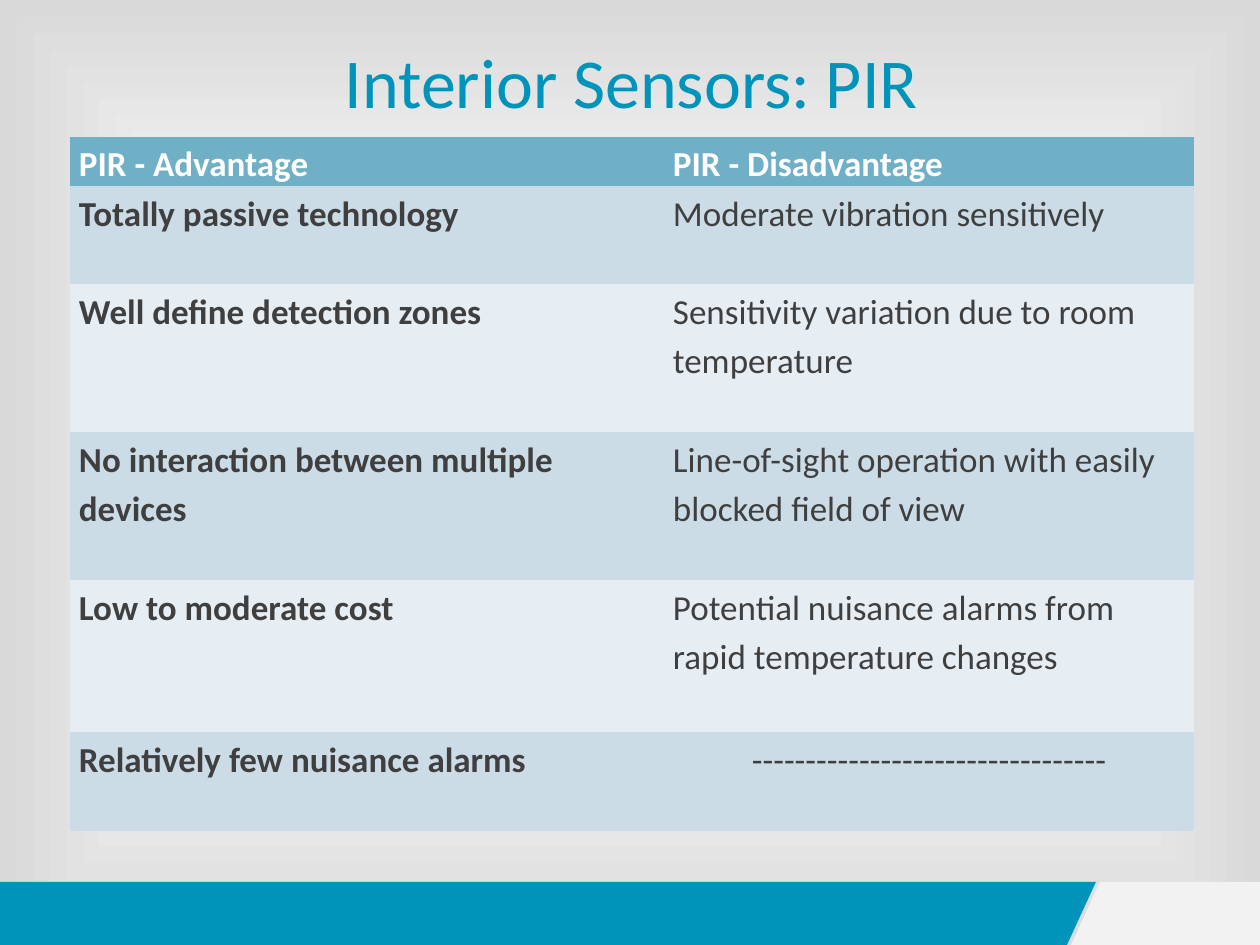
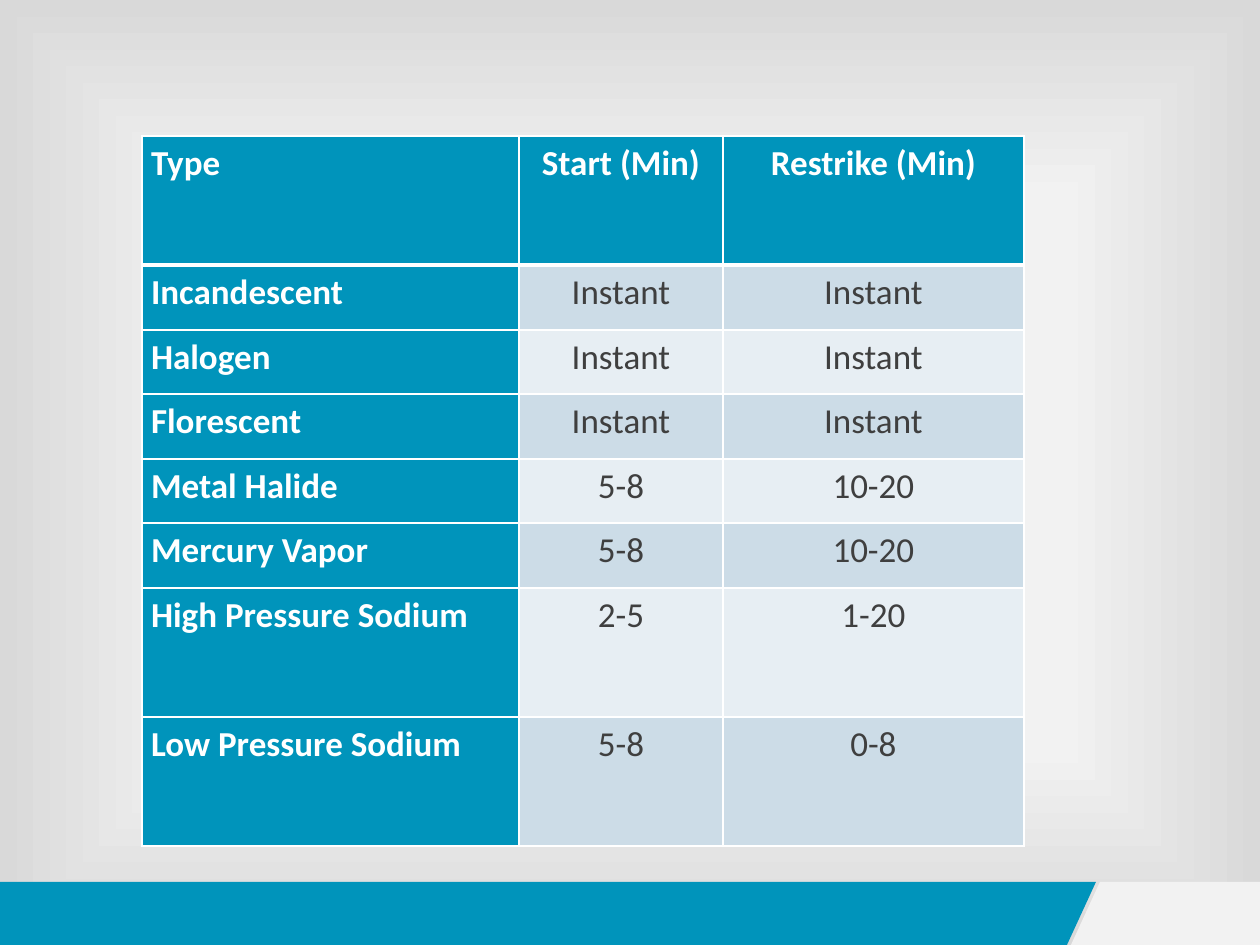
import lxml.etree
import pptx
import pptx.dml.color
import pptx.enum.text
import pptx.oxml
import pptx.oxml.ns
import pptx.util

PX = 914400 / 126
FONT = "Calibri"
TEAL = pptx.dml.color.RGBColor(0x00, 0x94, 0xBB)
SOFT_TEAL = pptx.dml.color.RGBColor(0x6F, 0xB0, 0xC7)
DARK_BAND = pptx.dml.color.RGBColor(0xCC, 0xDC, 0xE7)
LIGHT_BAND = pptx.dml.color.RGBColor(0xE7, 0xEE, 0xF3)
PALE = pptx.dml.color.RGBColor(0xF2, 0xF2, 0xF2)
WHITE = pptx.dml.color.RGBColor(0xFF, 0xFF, 0xFF)
INK = pptx.dml.color.RGBColor(0x3F, 0x3F, 0x3F)
CENTER = pptx.enum.text.PP_ALIGN.CENTER
LEFT = pptx.enum.text.PP_ALIGN.LEFT
PLAIN_TABLE = "{2D5ABB26-0587-4C30-8999-92F81FD0307C}"

BACKDROP_STOPS = [(0, WHITE), (58, PALE), (100, "D9D9D9")]
BACKDROP = (
    f'<a:gradFill {pptx.oxml.ns.nsdecls("a")} rotWithShape="1"><a:gsLst>'
    + "".join(
        f'<a:gs pos="{percent * 1000}"><a:srgbClr val="{colour}"/></a:gs>'
        for percent, colour in BACKDROP_STOPS
    )
    + '</a:gsLst><a:path path="rect">'
    '<a:fillToRect l="50000" t="50000" r="50000" b="50000"/></a:path></a:gradFill>'
)

FOOTER = [
    (TEAL, [(0, 882), (1096, 882), (1067, 945), (0, 945)]),
    (PALE, [(1100, 882), (1260, 882), (1260, 945), (1071, 945)]),
]

SENSOR_ROWS = [
    ("PIR - Advantage", "PIR - Disadvantage"),
    ("Totally passive technology", "Moderate vibration sensitively"),
    ("Well define detection zones", "Sensitivity variation due to room temperature"),
    ("No interaction between multiple devices",
     "Line-of-sight operation with easily blocked field of view"),
    ("Low to moderate cost", "Potential nuisance alarms from rapid temperature changes"),
    ("Relatively few nuisance alarms", "-" * 33),
]
LAMP_ROWS = [
    ("Type", "Start (Min)", "Restrike (Min)"),
    ("Incandescent", "Instant", "Instant"),
    ("Halogen", "Instant", "Instant"),
    ("Florescent", "Instant", "Instant"),
    ("Metal Halide", "5-8", "10-20"),
    ("Mercury Vapor", "5-8", "10-20"),
    ("High Pressure Sodium", "2-5", "1-20"),
    ("Low Pressure Sodium", "5-8", "0-8"),
]


def px(length):
    return round(length * PX)


def add_grid(slide, left, top, widths, heights, rows, head_fill, side_fill, centred, ruled):
    frame = slide.shapes.add_table(
        len(rows), len(widths), px(left), px(top), px(sum(widths)), px(sum(heights))
    )
    grid = frame.table
    frame.element.find(".//" + pptx.oxml.ns.qn("a:tableStyleId")).text = PLAIN_TABLE
    for column, width in zip(grid.columns, widths):
        column.width = px(width)
    for r, (row, height) in enumerate(zip(rows, heights)):
        grid.rows[r].height = px(height)
        for c, wording in enumerate(row):
            cell = grid.cell(r, c)
            cell.margin_left = cell.margin_right = px(9)
            cell.margin_top = cell.margin_bottom = 0
            cell.fill.solid()
            band = DARK_BAND if r % 2 else LIGHT_BAND
            filled = r == 0 or (c == 0 and side_fill is not None)
            cell.fill.fore_color.rgb = head_fill if r == 0 else side_fill if filled else band
            entry = cell.text_frame.paragraphs[0]
            entry.text = wording
            entry.line_spacing = 1.15
            entry.alignment = CENTER if (centred and c) or wording.startswith("--") else LEFT
            entry.font.name = FONT
            entry.font.size = pptx.util.Pt(20)
            entry.font.bold = r == 0 or c == 0
            entry.font.color.rgb = WHITE if filled else INK
            if ruled:
                properties = cell._tc.get_or_add_tcPr()
                for order, side in enumerate("LRTB"):
                    heavy = (side == "B" and r == 0) or (side == "T" and r == 1)
                    rule = pptx.oxml.parse_xml(
                        f'<a:ln{side} {pptx.oxml.ns.nsdecls("a")} w="{38100 if heavy else 12700}">'
                        f'<a:solidFill><a:srgbClr val="{WHITE}"/></a:solidFill></a:ln{side}>'
                    )
                    properties.insert(order, rule)


deck = pptx.Presentation()
deck.slide_width = px(1260)
deck.slide_height = px(945)
sensors, lamps = [deck.slides.add_slide(deck.slide_layouts[6]) for _ in range(2)]

for slide in (sensors, lamps):
    slide.background.fill.solid()
    solid = slide.element.find(".//" + pptx.oxml.ns.qn("p:bgPr"))[0]
    solid.getparent().replace(solid, pptx.oxml.parse_xml(BACKDROP))
    for colour, corners in FOOTER:
        outline = slide.shapes.build_freeform(*corners[0], scale=PX)
        outline.add_line_segments(corners[1:], close=True)
        band = outline.convert_to_shape()
        band.shadow.inherit = False
        band.fill.solid()
        band.fill.fore_color.rgb = colour
        band.line.fill.background()

add_grid(sensors, 70, 137, [594, 530], [49, 98, 148, 148, 152, 99], SENSOR_ROWS,
         SOFT_TEAL, None, centred=False, ruled=False)

title_box = sensors.shapes.add_textbox(px(96), px(26), px(1071), px(110)).text_frame
title_box.word_wrap = True
title_box.vertical_anchor = pptx.enum.text.MSO_ANCHOR.MIDDLE
title = title_box.paragraphs[0]
title.text = "Interior Sensors: PIR"
title.alignment = CENTER
title.font.name = FONT
title.font.size = pptx.util.Pt(40)
title.font.color.rgb = TEAL

add_grid(lamps, 142, 136, [377, 204, 301], [129, 65, 64, 65, 64, 65, 129, 129], LAMP_ROWS,
         TEAL, TEAL, centred=True, ruled=True)

deck.save("out.pptx")
